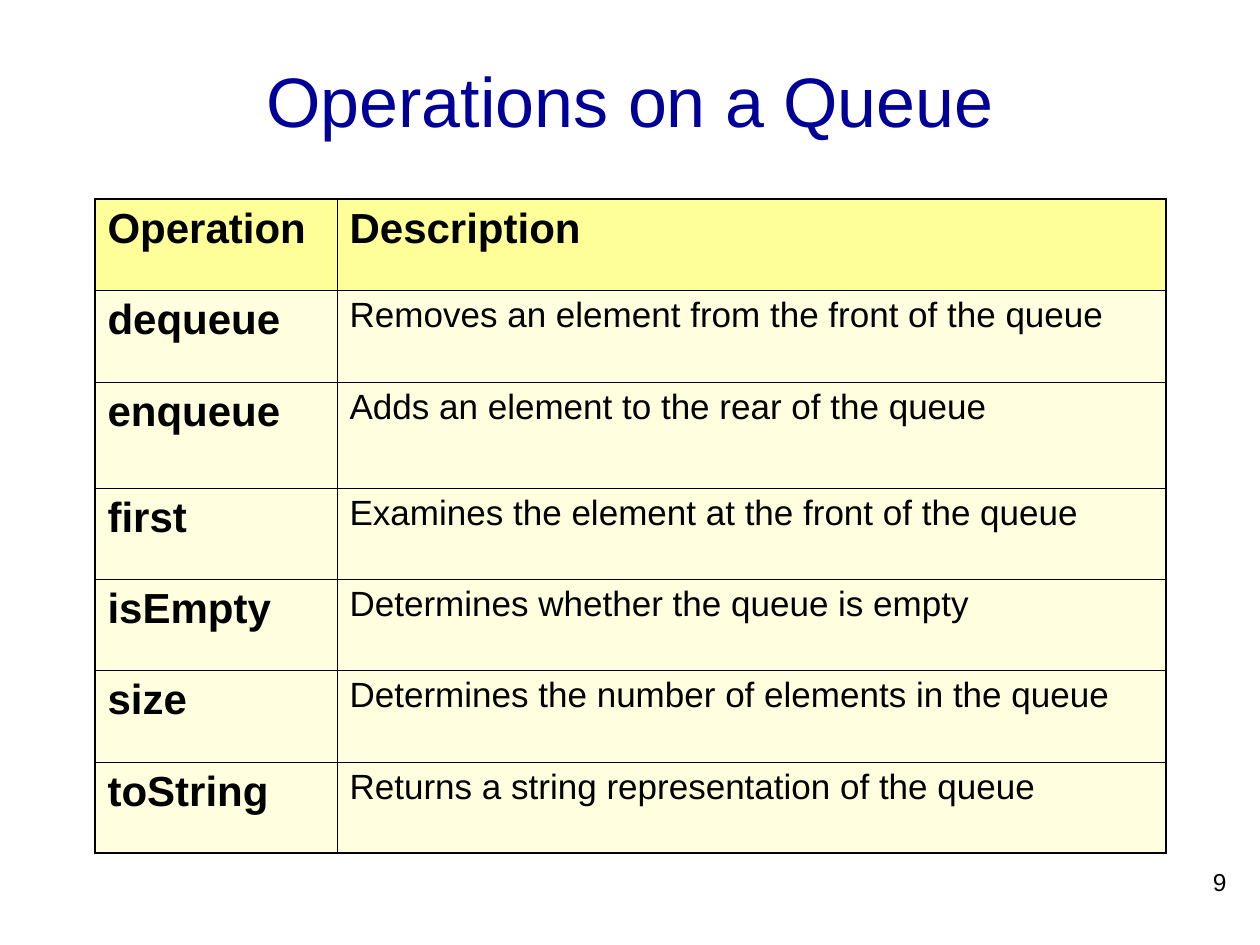
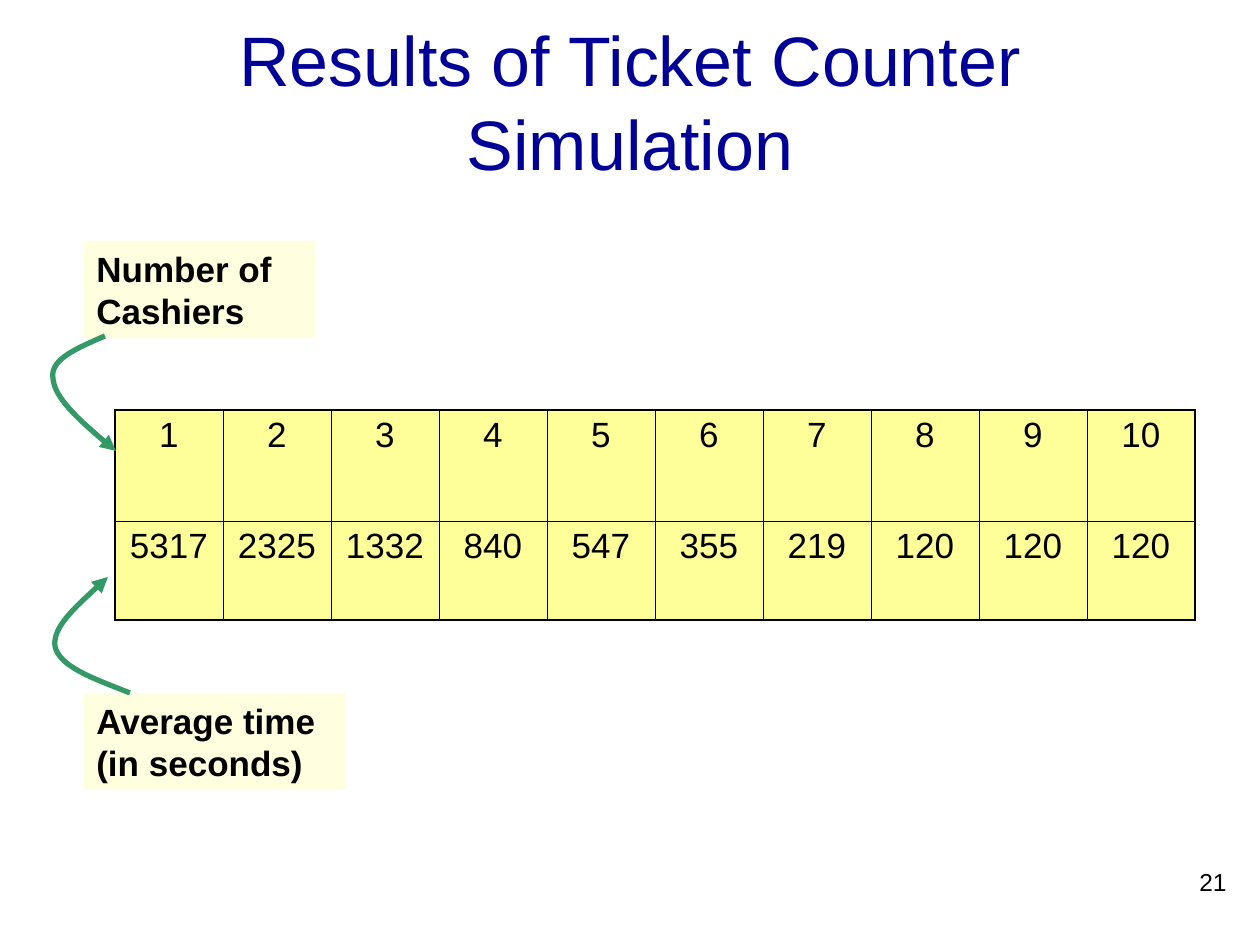
from lxml.etree import SubElement
from pptx import Presentation
from pptx.dml.color import RGBColor
from pptx.enum.shapes import MSO_SHAPE
from pptx.enum.text import MSO_ANCHOR as ANCHOR, MSO_AUTO_SIZE as AUTO, PP_ALIGN as ALIGN
from pptx.oxml.ns import qn
from pptx.util import Pt

PX = 914400 / 126
NAVY = RGBColor(0x00, 0x00, 0x99)
BLACK = RGBColor(0, 0, 0)
YELLOW = RGBColor(0xFF, 0xFF, 0x99)
CREAM = RGBColor(0xFF, 0xFF, 0xDF)
GREEN = RGBColor(0x33, 0x99, 0x66)
OUTER, INNER = Pt(1.08), Pt(0.45)

TITLE = dict(size=40, color=NAVY, align=ALIGN.CENTER)
NUMBER = dict(size=14, align=ALIGN.RIGHT)
HEADING = dict(size=24, bold=True, before=6)
BODY = dict(size=20, before=5)
VALUE = dict(size=20, before=5, align=ALIGN.CENTER)
LABEL = dict(size=20, bold=True, before=12.5)

OPERATIONS = [
    ("Operation", "Description"),
    ("dequeue", "Removes an element from the front of the queue"),
    ("enqueue", "Adds an element to the rear of the queue"),
    ("first", "Examines the element at the front of the queue"),
    ("isEmpty", "Determines whether the queue is empty"),
    ("size", "Determines the number of elements in the queue"),
    ("toString", "Returns a string representation of the queue"),
]
OPERATION_COLS = [242, 829]
OPERATION_ROWS = [91, 92, 106, 91, 91, 92, 91]

AVERAGE_TIMES = [5317, 2325, 1332, 840, 547, 355, 219, 120, 120, 120]
RESULTS = [range(1, len(AVERAGE_TIMES) + 1), AVERAGE_TIMES]
RESULT_COLS = [108] * len(AVERAGE_TIMES)
RESULT_ROWS = [111, 99]

LABELS = [
    ("Number of Cashiers", (84, 241, 231, 97)),
    ("Average time (in seconds)", (84, 693, 262, 97)),
]
# Start point, then two Bézier segments of three points each
ARROWS = [
    [(105, 336), (78, 348), (50, 359), (53, 378), (54, 397), (84, 425), (116, 451)],
    [(130, 693), (95, 679), (59, 667), (55, 646), (53, 627), (81, 602), (108, 577)],
]


def emu(*lengths):
    return [round(n * PX) for n in lengths]


def write(tf, text, size, color=BLACK, bold=False, before=0, align=ALIGN.LEFT):
    p = tf.paragraphs[0]
    p.alignment, p.space_before = align, Pt(before)
    r = p.add_run()
    r.text = str(text)
    font = dict(name="Arial", size=Pt(size), bold=bold)
    for name, value in font.items():
        setattr(r.font, name, value)
    r.font.color.rgb = color


def add_text(slide, text, box, style, anchor=ANCHOR.TOP):
    tf = slide.shapes.add_textbox(*emu(*box)).text_frame
    tf.word_wrap, tf.vertical_anchor = True, anchor
    write(tf, text, **style)


def add_slide(prs, title, number):
    slide = prs.slides.add_slide(prs.slide_layouts[6])
    add_text(slide, title, (95, 21, 1070, 158), TITLE, ANCHOR.MIDDLE)
    add_text(slide, number, (977, 861, 262, 63), NUMBER)
    return slide


def set_borders(cell, widths):
    tcPr = cell._tc.get_or_add_tcPr()
    for side, width in widths.items():
        ln = SubElement(tcPr, qn(f"a:ln{side}"), w=str(width))
        fill = SubElement(ln, qn("a:solidFill"))
        SubElement(fill, qn("a:srgbClr"), val=str(BLACK))


def add_grid(slide, left, top, cols, rows, data, look):
    """Add a ruled table; look(row, col) gives a cell's fill and text style."""
    box = emu(left, top, sum(cols), sum(rows))
    table = slide.shapes.add_table(len(rows), len(cols), *box).table
    table.first_row = table.horz_banding = False
    for col, width in zip(table.columns, emu(*cols)):
        col.width = width
    for row, height in zip(table.rows, emu(*rows)):
        row.height = height
    for i, values in enumerate(data):
        for j, value in enumerate(values):
            cell = table.cell(i, j)
            edges = dict(L=j == 0, R=j == len(cols) - 1, T=i == 0, B=i == len(rows) - 1)
            set_borders(cell, {s: OUTER if e else INNER for s, e in edges.items()})
            fill, style = look(i, j)
            cell.fill.solid()
            cell.fill.fore_color.rgb = fill
            write(cell.text_frame, value, **style)


def add_label(slide, text, box):
    s = slide.shapes.add_shape(MSO_SHAPE.RECTANGLE, *emu(*box))
    s.shadow.inherit = False
    s.fill.solid()
    s.fill.fore_color.rgb = CREAM
    s.line.fill.background()
    tf = s.text_frame
    tf.word_wrap, tf.auto_size, tf.vertical_anchor = True, AUTO.SHAPE_TO_FIT_TEXT, ANCHOR.TOP
    write(tf, text, **LABEL)


def add_curved_arrow(slide, points):
    start, *rest = points
    builder = slide.shapes.build_freeform(*start, scale=PX)
    builder.add_line_segments(rest, close=False)
    s = builder.convert_to_shape()
    s.shadow.inherit = False
    s.fill.background()
    s.line.color.rgb, s.line.width = GREEN, Pt(3)
    ln = s._element.spPr.find(qn("a:ln"))
    SubElement(ln, qn("a:tailEnd"), type="triangle")
    outline = next(s._element.iter(qn("a:moveTo"))).getparent()
    lines = outline.findall(qn("a:lnTo"))
    for k in range(0, len(lines), 3):
        curve = SubElement(outline, qn("a:cubicBezTo"))
        for line in lines[k:k + 3]:
            curve.append(line[0])
            outline.remove(line)


def operation_look(row, col):
    return (CREAM if row else YELLOW), (BODY if row and col else HEADING)


def main():
    prs = Presentation()
    prs.slide_width, prs.slide_height = emu(1260, 945)

    slide = add_slide(prs, "Operations on a Queue", 9)
    add_grid(slide, 95, 199, OPERATION_COLS, OPERATION_ROWS, OPERATIONS, operation_look)

    slide = add_slide(prs, "Results of Ticket Counter Simulation", 21)
    add_grid(slide, 115, 410, RESULT_COLS, RESULT_ROWS, RESULTS, lambda row, col: (YELLOW, VALUE))
    for text, box in LABELS:
        add_label(slide, text, box)
    for points in ARROWS:
        add_curved_arrow(slide, points)

    prs.save("out.pptx")


if __name__ == "__main__":
    main()
